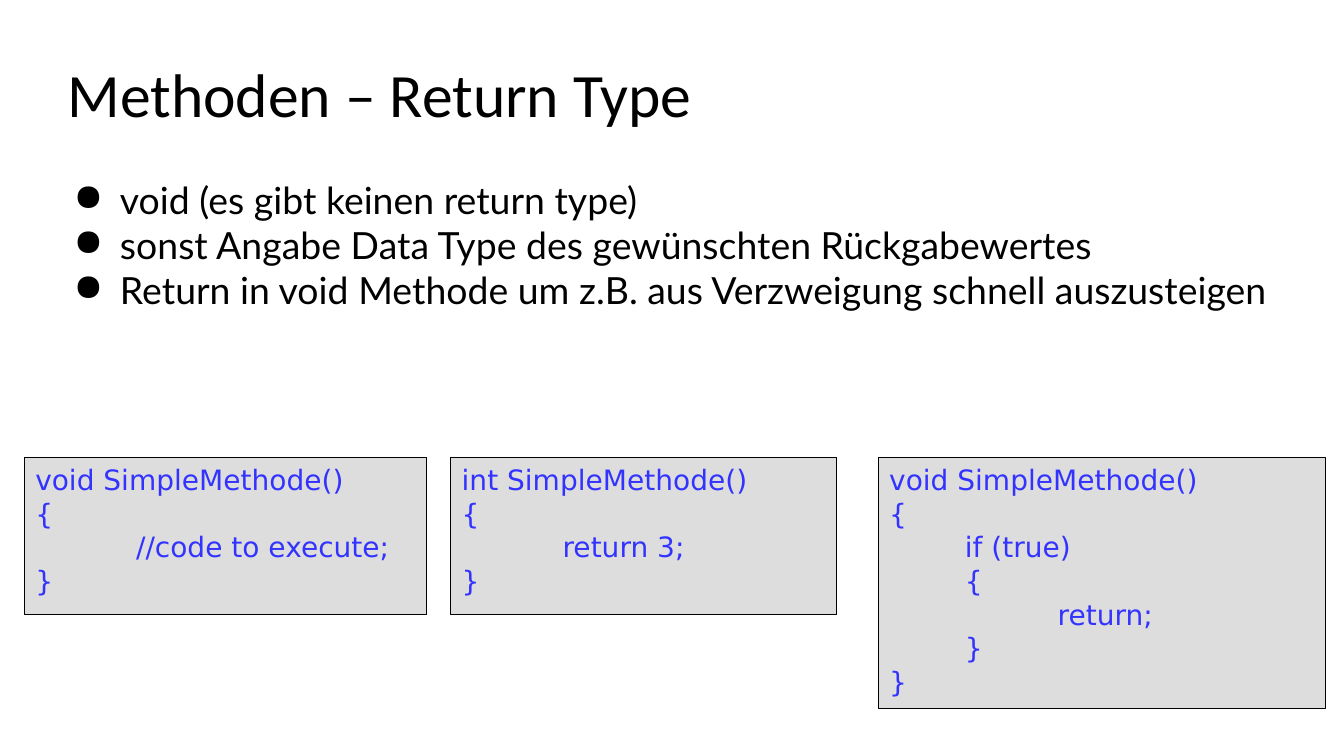
from dataclasses import dataclass

from lxml import etree
from pptx import Presentation
from pptx.dml.color import RGBColor
from pptx.enum import shapes, text
from pptx.oxml import ns
from pptx.slide import Slide
from pptx.text.text import TextFrame, _Paragraph
from pptx.util import Inches, Pt

BLACK = RGBColor(0x00, 0x00, 0x00)
CODE_BLUE = RGBColor(0x33, 0x33, 0xFF)
BOX_GREY = RGBColor(0xDD, 0xDD, 0xDD)

CODE_TOP = 4.54
BULLETS = [
    "void (es gibt keinen return type)",
    "sonst Angabe Data Type des gewünschten Rückgabewertes",
    "Return in void Methode um z.B. aus Verzweigung schnell auszusteigen",
]


@dataclass
class CodeLine:
    text: str
    indent: float = 0


@dataclass
class CodeBox:
    left: float
    width: float
    height: float
    lines: list[CodeLine]


def method(signature: str, *body: CodeLine) -> list[CodeLine]:
    return [CodeLine(signature), CodeLine("{"), *body, CodeLine("}")]


CODE_BOXES = [
    CodeBox(0.24, 3.99, 1.56,
            method("void SimpleMethode()", CodeLine("//code to execute;", 1))),
    CodeBox(4.47, 3.83, 1.56,
            method("int SimpleMethode()", CodeLine("return 3;", 1))),
    CodeBox(8.71, 4.44, 2.49,
            method("void SimpleMethode()",
                   CodeLine("if (true)", 0.75), CodeLine("{", 0.75),
                   CodeLine("return;", 1.67), CodeLine("}", 0.75))),
]


def set_up_frame(frame: TextFrame, horizontal: float, vertical: float,
                 anchor: text.MSO_ANCHOR) -> None:
    frame.word_wrap = True
    frame.auto_size = text.MSO_AUTO_SIZE.NONE
    frame.margin_left = frame.margin_right = Inches(horizontal)
    frame.margin_top = frame.margin_bottom = Inches(vertical)
    frame.vertical_anchor = anchor


def format_paragraph(paragraph: _Paragraph, font_name: str, size: float,
                     color: RGBColor) -> None:
    paragraph.alignment = text.PP_ALIGN.LEFT
    paragraph.font.name = font_name
    paragraph.font.size = Pt(size)
    paragraph.font.color.rgb = color


def set_indent(paragraph: _Paragraph, left: float, first: float = 0) -> None:
    properties = paragraph._p.get_or_add_pPr()
    properties.set("marL", str(Inches(left)))
    properties.set("indent", str(Inches(first)))


def add_bullet(paragraph: _Paragraph) -> None:
    set_indent(paragraph, 0.52, -0.46)
    bullet = etree.Element(ns.qn("a:buChar"), char="●")
    # The bullet character comes before the default run properties
    paragraph._p.get_or_add_pPr().insert(0, bullet)


def add_title(slide: Slide, wording: str) -> None:
    title = slide.shapes.title
    title.left, title.top = Inches(0.67), Inches(0.3)
    title.width, title.height = Inches(12), Inches(1.25)
    title.text_frame.text = wording
    set_up_frame(title.text_frame, 0, 0, text.MSO_ANCHOR.MIDDLE)
    format_paragraph(title.text_frame.paragraphs[0], "Calibri", 44, BLACK)


def add_bullets(slide: Slide, bullets: list[str]) -> None:
    box = slide.shapes.add_textbox(Inches(0.67), Inches(1.76), Inches(12), Inches(5.5))
    frame = box.text_frame
    set_up_frame(frame, 0, 0, text.MSO_ANCHOR.TOP)
    frame.text = "\n".join(bullets)
    for paragraph in frame.paragraphs:
        format_paragraph(paragraph, "Lato", 26.7, BLACK)
        add_bullet(paragraph)


def add_code_box(slide: Slide, box: CodeBox) -> None:
    shape = slide.shapes.add_shape(
        shapes.MSO_SHAPE.RECTANGLE, Inches(box.left), Inches(CODE_TOP),
        Inches(box.width), Inches(box.height))
    shape.shadow.inherit = False
    shape.fill.solid()
    shape.fill.fore_color.rgb = BOX_GREY
    shape.line.color.rgb = BLACK
    shape.line.width = Pt(0.75)
    frame = shape.text_frame
    set_up_frame(frame, 0.11, 0.05, text.MSO_ANCHOR.TOP)
    frame.text = "\n".join(line.text for line in box.lines)
    for paragraph, line in zip(frame.paragraphs, box.lines):
        format_paragraph(paragraph, "DejaVu Sans", 20, CODE_BLUE)
        set_indent(paragraph, line.indent)


def main() -> None:
    presentation = Presentation()
    presentation.slide_width = Inches(13.33)
    presentation.slide_height = Inches(7.5)
    slide = presentation.slides.add_slide(presentation.slide_layouts[5])

    # Title and key points
    add_title(slide, "Methoden – Return Type")
    add_bullets(slide, BULLETS)

    # Code examples
    for box in CODE_BOXES:
        add_code_box(slide, box)

    presentation.save("out.pptx")


if __name__ == "__main__":
    main()
